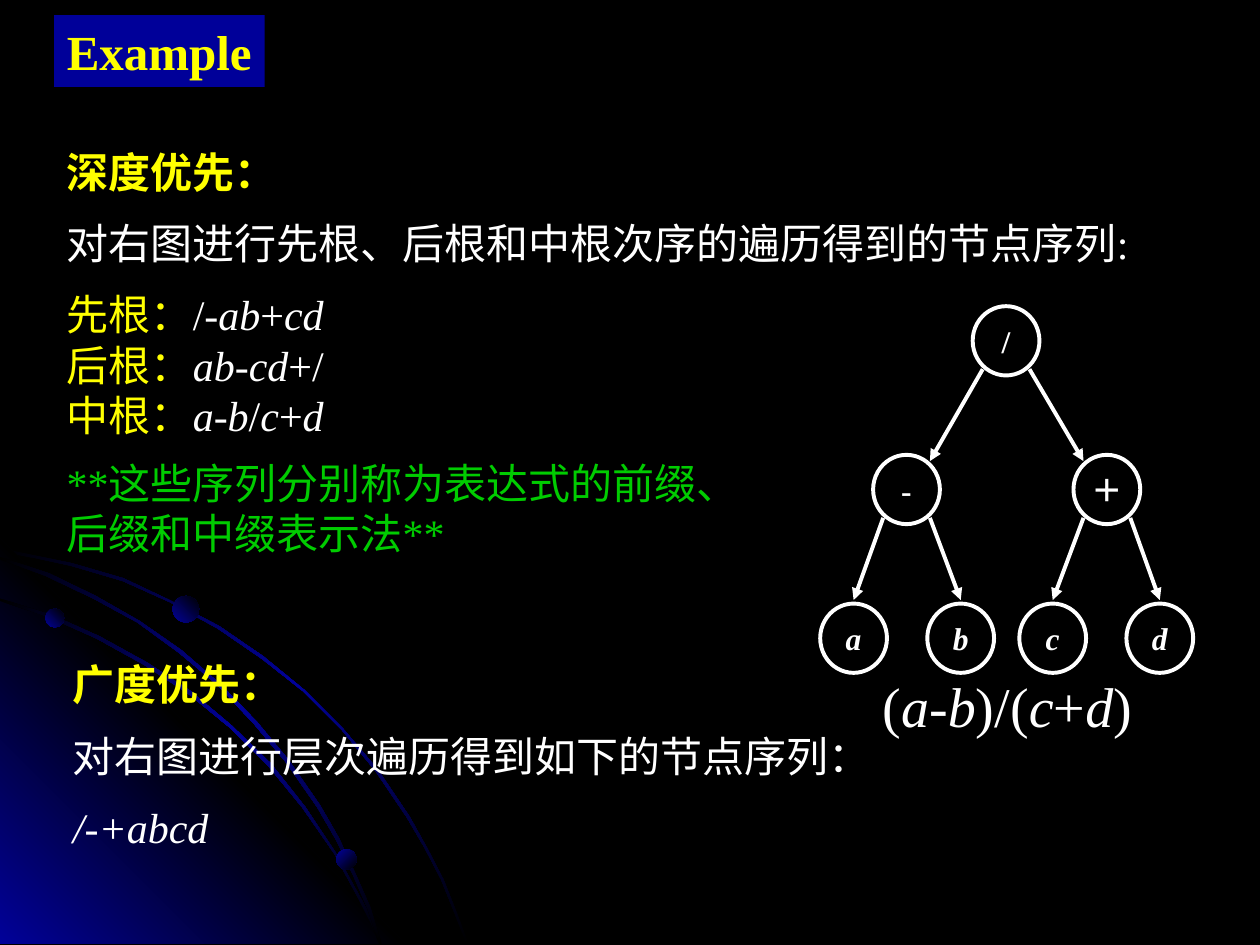
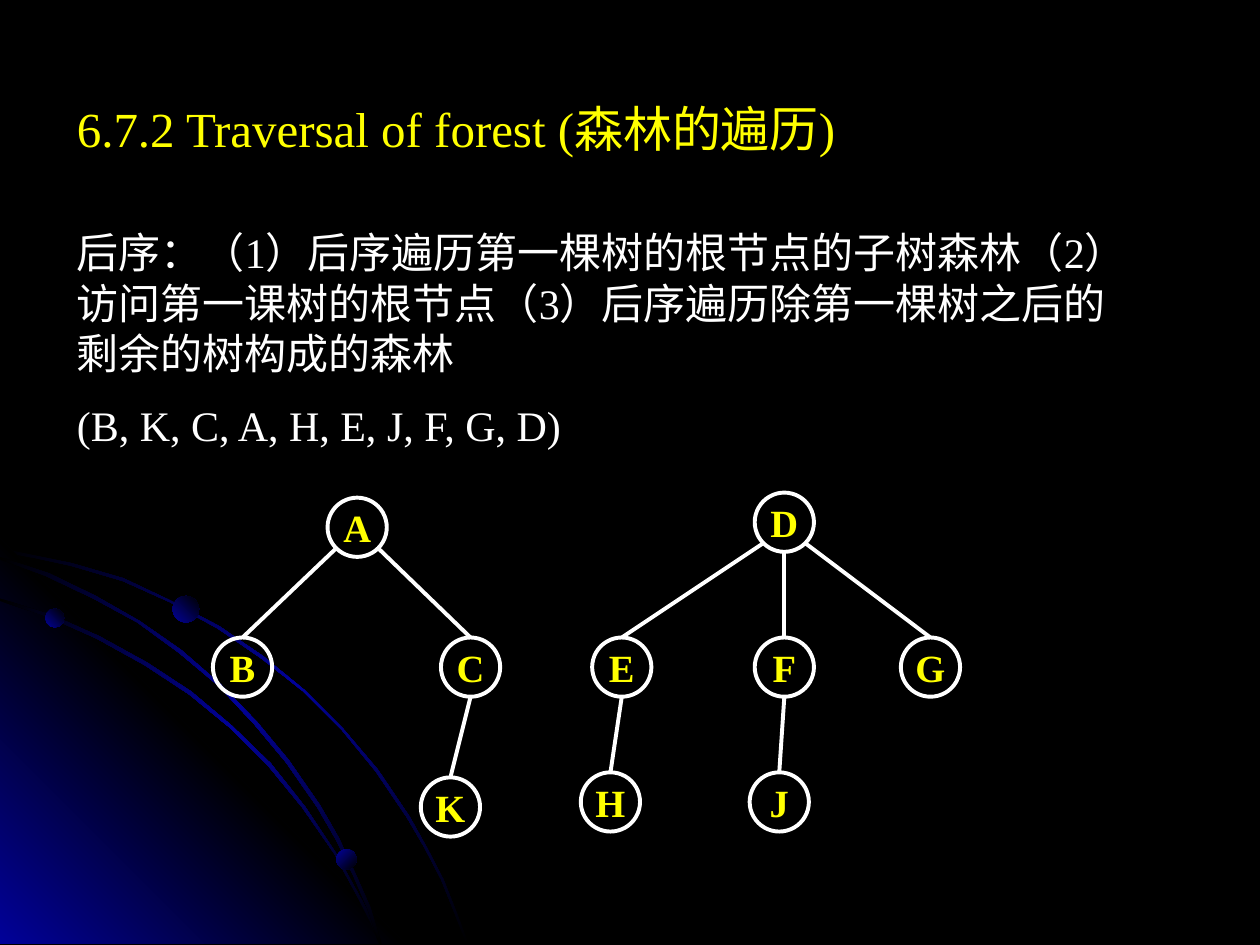
from itertools import groupby

from lxml.etree import SubElement
from pptx import Presentation
from pptx.dml.color import RGBColor
from pptx.enum.shapes import MSO_CONNECTOR, MSO_SHAPE
from pptx.enum.text import MSO_ANCHOR, MSO_AUTO_SIZE, PP_ALIGN
from pptx.oxml.ns import qn
from pptx.util import Inches, Pt

BLACK = RGBColor(0x00, 0x00, 0x00)
WHITE = RGBColor(0xFF, 0xFF, 0xFF)
YELLOW = RGBColor(0xFF, 0xFF, 0x00)
GREEN = RGBColor(0x00, 0xCC, 0x00)
NAVY = RGBColor(0x00, 0x00, 0x99)
GLOW = RGBColor(0x01, 0x01, 0x99)
FONT = "Times New Roman"
TITLE_SIZE, BODY_SIZE = 28, 24


def write_text(shape, size, paragraphs, align=PP_ALIGN.LEFT, anchor=MSO_ANCHOR.TOP, wrap=True):
    """Each paragraph is (space before, runs); a run is (text, colour, style of b and i)."""
    frame = shape.text_frame
    frame.auto_size = MSO_AUTO_SIZE.NONE
    frame.word_wrap = wrap
    frame.vertical_anchor = anchor
    for index, (before, runs) in enumerate(paragraphs):
        paragraph = frame.add_paragraph() if index else frame.paragraphs[0]
        properties = paragraph._p.get_or_add_pPr()
        properties.set("marL", "0")
        properties.set("indent", "0")
        SubElement(properties, qn("a:buNone"))
        paragraph.alignment = align
        paragraph.space_before = Pt(before)
        for text, color, style in runs:
            run = paragraph.add_run()
            run.text = text
            run.font.name = FONT
            run.font.size = Pt(size)
            run.font.color.rgb = color
            run.font.bold = "b" in style
            run.font.italic = "i" in style


def draw_tree(slide, nodes, edges, width, height, size, color, letter_style, arrows):
    """Nodes map a label to left and top; edge ends are fractions of the node's box."""
    circles = {}
    for label, (left, top) in nodes.items():
        circle = slide.shapes.add_shape(
            MSO_SHAPE.OVAL, Inches(left), Inches(top), Inches(width), Inches(height))
        circle.shadow.inherit = False
        circle.fill.background()
        circle.line.color.rgb = WHITE
        circle.line.width = Pt(2.25)
        style = letter_style if label.isalpha() else "b"
        write_text(circle, size, [(0, [(label, color, style)])],
                   PP_ALIGN.CENTER, MSO_ANCHOR.MIDDLE, wrap=False)
        circles[label] = circle
    for parent, start, child, end in edges:
        ends = [Inches(corner + fraction * length)
                for label, site in ((parent, start), (child, end))
                for corner, fraction, length in zip(nodes[label], site, (width, height))]
        branch = slide.shapes.add_connector(MSO_CONNECTOR.STRAIGHT, *ends)
        branch.line.color.rgb = WHITE
        branch.line.width = Pt(2.25)
        if arrows:
            SubElement(branch.line._get_or_add_ln(), qn("a:tailEnd"), type="triangle")
        SubElement(branch._element.spPr, qn("a:effectLst"))
        if end == TOP:
            branch.end_connect(circles[child], 0)


prs = Presentation()
prs.slide_width = Inches(10)
prs.slide_height = Inches(7.5)
master = prs.slide_master
master.background.fill.solid()
master.background.fill.fore_color.rgb = BLACK
example, forest = [prs.slides.add_slide(prs.slide_layouts[1]) for _ in range(2)]

# Glowing corner: outlines in hundredths of an inch
OUTER_ARC = [
    (57, 447), (28, 441), (0, 435), (0, 438), (28, 443), (56, 449), (97, 461), (135, 478),
    (173, 499), (208, 523), (241, 549), (271, 579), (298, 612), (323, 649), (337, 673),
    (350, 698), (360, 723), (370, 749), (372, 749), (362, 723), (352, 698), (339, 673),
    (325, 648), (300, 611), (272, 578), (242, 548), (209, 521), (174, 497), (136, 477),
    (98, 459)]
CORNER = [(322, 749), (0, 749), (0, 427)]
INNER_ARC = [
    (285, 714), (294, 732), (301, 749), (303, 749), (296, 730), (286, 712), (266, 676),
    (242, 640), (215, 606), (184, 576), (152, 549), (117, 526), (79, 505), (41, 488),
    (0, 475), (0, 477), (39, 490), (77, 507), (115, 528), (150, 551), (183, 578),
    (213, 608), (240, 641), (265, 677)]
MIDDLE_ARC = [
    (0, 442), (0, 444), (36, 457), (74, 475), (109, 494), (142, 518), (173, 544),
    (202, 575), (227, 605), (252, 641), (267, 667), (280, 694), (292, 722), (301, 749),
    (303, 749), (294, 720), (282, 693), (269, 665), (254, 639), (229, 603), (204, 573),
    (175, 543), (144, 516), (111, 493), (76, 473), (39, 455)]
ARC_COLORS = (BLACK, GLOW, BLACK)
DOT_COLORS = (GLOW, BLACK)

glow_parts = []
for outline, colors, angle in (
        (OUTER_ARC, ARC_COLORS, 45), (CORNER, (GLOW, BLACK, GLOW), 315),
        (INNER_ARC, ARC_COLORS, 45), (MIDDLE_ARC, ARC_COLORS, 45)):
    builder = example.shapes.build_freeform(*outline[0], scale=Inches(0.01))
    builder.add_line_segments(outline[1:], close=True)
    glow_parts.append((builder.convert_to_shape(), colors, angle))
for left, top, diameter, angle in (
        (0.36, 4.83, 0.15, 315), (2.67, 6.74, 0.16, 45), (1.37, 4.73, 0.21, 315)):
    dot = example.shapes.add_shape(
        MSO_SHAPE.OVAL, Inches(left), Inches(top), Inches(diameter), Inches(diameter))
    glow_parts.append((dot, DOT_COLORS, angle))

# Gradients run clockwise; the finished parts move to the master
for part, colors, angle in glow_parts:
    part.shadow.inherit = False
    part.line.fill.background()
    part.fill.gradient()
    part.fill.gradient_angle = 360 - angle
    stops = part._element.spPr.find(".//" + qn("a:gsLst"))
    stops.clear()
    for index, color in enumerate(colors):
        stop = SubElement(stops, qn("a:gs"), pos=str(index * 100000 // (len(colors) - 1)))
        SubElement(stop, qn("a:srgbClr"), val=str(color))
    master.shapes.element.append(part._element)

# Titles
for slide, box, text, style in (
        (example, (0.43, 0.12, 1.67, 0.57), "Example", "b"),
        (forest, (0.51, 0.73, 6.61, 0.57), "6.7.2 Traversal of forest (森林的遍历)", "")):
    title = slide.shapes.title
    title.left, title.top, title.width, title.height = map(Inches, box)
    write_text(title, TITLE_SIZE, [(0, [(text, YELLOW, style)])])
example.shapes.title.fill.solid()
example.shapes.title.fill.fore_color.rgb = NAVY

# Expressions: letters italic, operators upright
preorder, postorder, inorder, formula = [
    [("".join(part), WHITE, "i" if is_letter else "")
     for is_letter, part in groupby(expression, str.isalpha)]
    for expression in ("/-ab+cd", "ab-cd+/", "a-b/c+d", "(a-b)/(c+d)")]

# Bodies
depth_first = [
    (0, [("深度优先：", YELLOW, "b")]),
    (12, [("对右图进行先根、后根和中根次序的遍历得到的节点序列:", WHITE, "")]),
    (12, [("先根：", YELLOW, "")] + preorder),
    (0, [("后根：", YELLOW, "")] + postorder),
    (0, [("中根：", YELLOW, "")] + inorder)]
forest_postorder = [
    (0, [("后序：（1）后序遍历第一棵树的根节点的子树森林（2）访问第一课树的根节点"
          "（3）后序遍历除第一棵树之后的剩余的树构成的森林", WHITE, "")]),
    (12, [("(B, K, C, A, H, E, J, F, G, D)", WHITE, "")])]
for slide, box, paragraphs in (
        (example, (0.43, 1.11, 9.29, 2.86), depth_first),
        (forest, (0.51, 1.75, 8.65, 1.92), forest_postorder)):
    body = slide.placeholders[1]
    body.left, body.top, body.width, body.height = map(Inches, box)
    write_text(body, BODY_SIZE, paragraphs)

# Example: notes and formula
notation = [(0, [("**这些序列分别称为表达式的前缀、后缀和中缀表示法**", GREEN, "")])]
breadth_first = [
    (0, [("广度优先：", YELLOW, "b")]),
    (12, [("对右图进行层次遍历得到如下的节点序列：", WHITE, "")]),
    (12, [("/-+abcd", WHITE, "i")])]
for box, size, paragraphs, align in (
        ((0.43, 3.58, 5.65, 0.91), BODY_SIZE, notation, PP_ALIGN.LEFT),
        ((0.48, 5.18, 6.22, 1.65), BODY_SIZE, breadth_first, PP_ALIGN.LEFT),
        ((6.83, 5.28, 2.33, 0.64), 32, [(0, formula)], PP_ALIGN.CENTER)):
    note = example.shapes.add_textbox(*map(Inches, box))
    write_text(note, size, paragraphs, align)

# Example: expression tree
TOP, BOTTOM = (0.5, 0), (0.5, 1)
low_left, low_right = (0.15, 0.91), (0.85, 0.91)
high_left, high_right, above = (0.15, 0.09), (0.85, 0.09), (0.5, -0.05)
expression_nodes = {
    "/": (7.72, 2.43), "-": (6.93, 3.61), "＋": (8.52, 3.61),
    "a": (6.51, 4.79), "b": (7.36, 4.79), "c": (8.09, 4.79), "d": (8.94, 4.79)}
expression_edges = [
    ("/", low_left, "-", high_right), ("/", low_right, "＋", high_left),
    ("-", low_left, "a", above), ("-", low_right, "b", above),
    ("＋", low_left, "c", above), ("＋", low_right, "d", above)]
draw_tree(example, expression_nodes, expression_edges, 0.53, 0.55, 18, WHITE, "bi", arrows=True)

# Forest: two trees
low_left, low_right = (0.15, 0.85), (0.85, 0.85)
forest_nodes = {
    "A": (2.6, 3.95), "B": (1.69, 5.06), "C": (3.5, 5.06), "K": (3.34, 6.17),
    "D": (5.99, 3.91), "E": (4.7, 5.06), "F": (5.99, 5.06), "G": (7.15, 5.06),
    "H": (4.61, 6.13), "J": (5.95, 6.13)}
forest_edges = [
    ("A", low_left, "B", TOP), ("A", low_right, "C", TOP), ("C", BOTTOM, "K", TOP),
    ("D", low_left, "E", TOP), ("D", BOTTOM, "F", TOP), ("D", low_right, "G", TOP),
    ("E", BOTTOM, "H", TOP), ("F", BOTTOM, "J", TOP)]
draw_tree(forest, forest_nodes, forest_edges, 0.47, 0.47, 22, YELLOW, "b", arrows=False)

prs.save("out.pptx")
